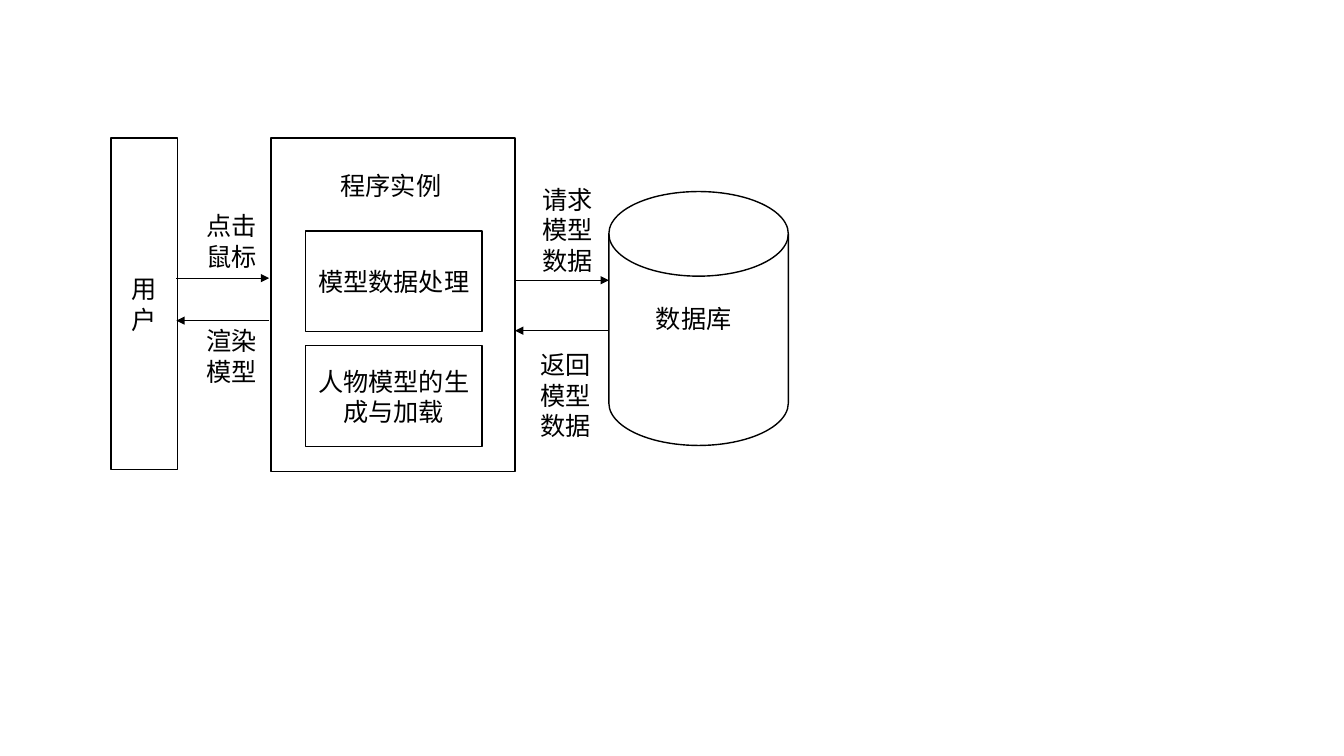
import pptx
import pptx.util
import pptx.dml.color
import pptx.enum.shapes
import pptx.enum.text
import pptx.oxml
import pptx.oxml.ns
import lxml.etree
from dataclasses import dataclass

Pt = pptx.util.Pt
Shapes = pptx.enum.shapes.MSO_SHAPE
qn = pptx.oxml.ns.qn


@dataclass(frozen=True)
class Theme:
    ink = pptx.dml.color.RGBColor(0, 0, 0)
    paper = pptx.dml.color.RGBColor(255, 255, 255)
    font = "Noto Sans CJK SC"
    text_size = 18
    outline = 1
    arrow = 0.5


theme = Theme()

USER = (79.2, 98.6, 47.5, 236.9)
PROGRAM = (193.7, 98.6, 174.2, 238.3)
DATABASE = (434.9, 136.8, 128.2, 181.4)
MODULES = ["模型数据处理", "人物模型的生成与加载"]
MODULE_LEFT, MODULE_TOP, MODULE_WIDTH, MODULE_HEIGHT = 218.2, 164.9, 126, 72
MODULE_STEP = 82.1

user_right = USER[0] + USER[2]
program_right = PROGRAM[0] + PROGRAM[2]
ARROWS = [
    (PROGRAM[0] - 1.4, user_right - 0.7, 229),
    (user_right - 0.7, PROGRAM[0] - 1.4, 198.7),
    (program_right, DATABASE[0], 200.2),
    (DATABASE[0], program_right, 236.2),
]
LABELS = [
    ("点击鼠标", 140.4, 146.9, 65.5, 51),
    ("渲染模型", 140.4, 229, 65.5, 51),
    ("请求模型数据", 380.2, 128.2, 65.5, 72.7),
    ("返回模型数据", 378.7, 246.2, 65.5, 72.7),
    ("数据库", 461.5, 213.1, 89.3, 29),
    ("程序实例", 236.2, 118.1, 89.3, 29),
]


def write(shape, text, alignment):
    frame = shape.text_frame
    frame.word_wrap = True
    frame.text = text
    paragraph = frame.paragraphs[0]
    paragraph.alignment = alignment
    font = paragraph.runs[0].font
    font.name = theme.font
    font.size = Pt(theme.text_size)
    font.color.rgb = theme.ink
    latin = font._element.find(qn("a:latin"))
    east_asian = latin.makeelement(qn("a:ea"), {"typeface": theme.font})
    latin.addnext(east_asian)


def add_box(slide, kind, bounds, text=None):
    shape = slide.shapes.add_shape(kind, *map(Pt, bounds))
    shape.shadow.inherit = False
    shape.fill.solid()
    shape.fill.fore_color.rgb = theme.paper
    shape.line.color.rgb = theme.ink
    shape.line.width = Pt(theme.outline)
    if text:
        shape.text_frame.vertical_anchor = pptx.enum.text.MSO_ANCHOR.MIDDLE
        write(shape, text, pptx.enum.text.PP_ALIGN.CENTER)


def add_arrow(slide, start, end, height):
    connector = slide.shapes.add_connector(
        pptx.enum.shapes.MSO_CONNECTOR.STRAIGHT, Pt(start), Pt(height), Pt(end), Pt(height))
    connector.line.color.rgb = theme.ink
    connector.line.width = Pt(theme.arrow)
    line = connector.line._get_or_add_ln()
    lxml.etree.SubElement(line, qn("a:tailEnd"), type="triangle")
    lxml.etree.SubElement(connector._element.spPr, qn("a:effectLst"))


def add_label(slide, text, *bounds):
    label = slide.shapes.add_textbox(*map(Pt, bounds))
    write(label, text, pptx.enum.text.PP_ALIGN.LEFT)
    label.text_frame.auto_size = pptx.enum.text.MSO_AUTO_SIZE.SHAPE_TO_FIT_TEXT


presentation = pptx.Presentation()
presentation.slide_width = Pt(960)
presentation.slide_height = Pt(540)
slide = presentation.slides.add_slide(presentation.slide_layouts[6])

add_box(slide, Shapes.FLOWCHART_MAGNETIC_DISK, DATABASE)
add_box(slide, Shapes.RECTANGLE, USER, "用户")
add_box(slide, Shapes.RECTANGLE, PROGRAM)
for index, module in enumerate(MODULES):
    top = MODULE_TOP + index * MODULE_STEP
    add_box(slide, Shapes.RECTANGLE, (MODULE_LEFT, top, MODULE_WIDTH, MODULE_HEIGHT), module)
for arrow in ARROWS:
    add_arrow(slide, *arrow)
for label in LABELS:
    add_label(slide, *label)

presentation.save("out.pptx")
